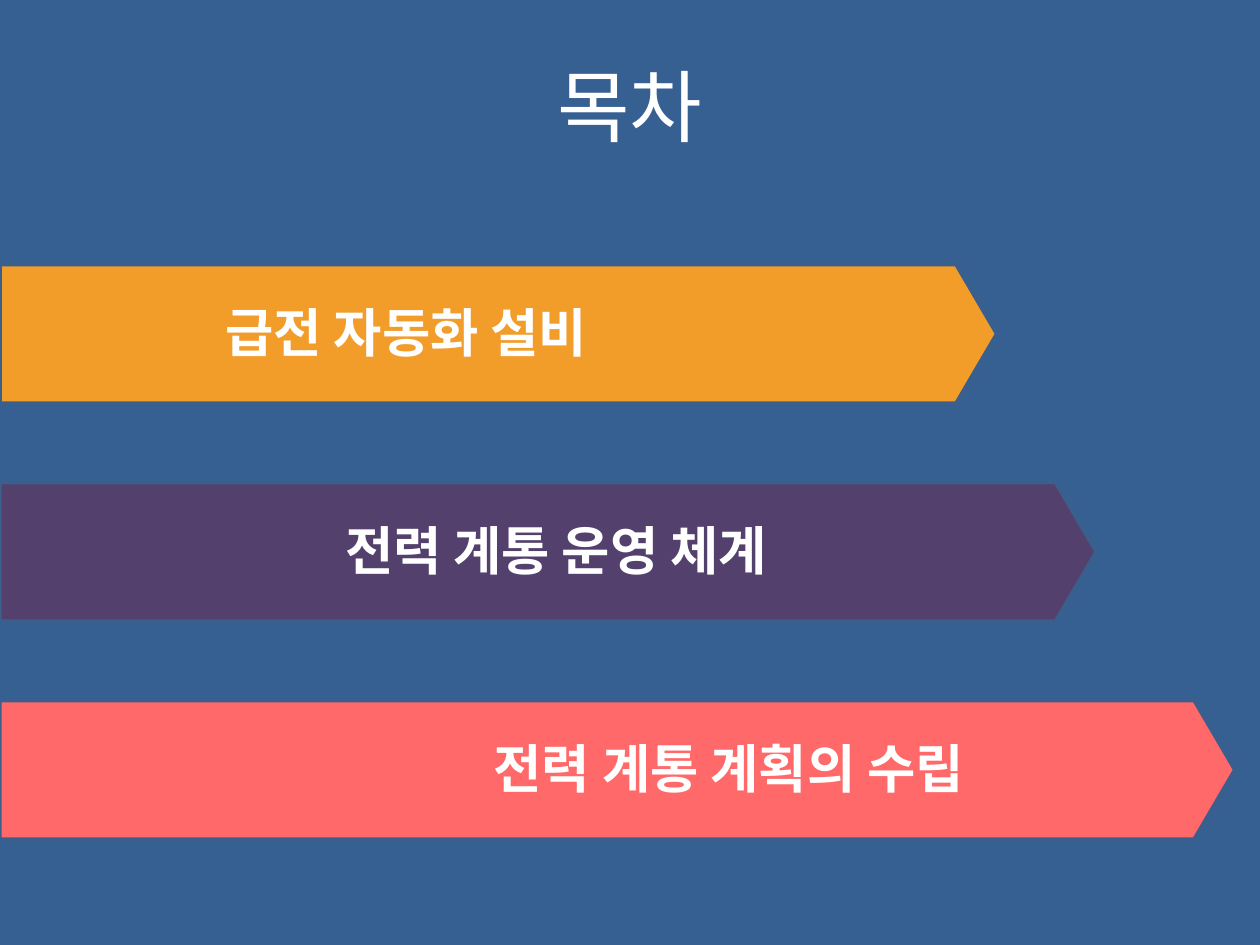
"""Build the contents slide with three stepped arrow banners."""
from dataclasses import dataclass

from lxml import etree
from pptx import Presentation
from pptx.dml.color import RGBColor
from pptx.enum.shapes import MSO_SHAPE
from pptx.enum.text import MSO_ANCHOR, MSO_AUTO_SIZE, PP_ALIGN
from pptx.oxml.ns import qn
from pptx.slide import Slide
from pptx.util import Inches, Pt

PENTAGON = MSO_SHAPE.PENTAGON
MIDDLE = MSO_ANCHOR.MIDDLE
LEFT, CENTER = PP_ALIGN.LEFT, PP_ALIGN.CENTER
GROW = MSO_AUTO_SIZE.SHAPE_TO_FIT_TEXT
FONT = "Noto Sans CJK KR"
TITLE_ONLY = 5
TOP, PITCH, HEIGHT = 2.1, 1.73, 1.1
LABEL_OFFSET, LABEL_HEIGHT = 0.23, 0.61
COLORS = {
    "background": "376092",
    "outline": "3A5F8C",
    "text": "FFFFFF",
    "orange": "F29C2A",
    "purple": "54406C",
    "coral": "FF6969",
}


@dataclass(frozen=True)
class Banner:
    text: str
    color: str
    width: float
    label_left: float
    label_width: float


BANNERS = [
    Banner("급전 자동화 설비", "orange", 7.91, 1.69, 3.46),
    Banner("전력 계통 운영 체계", "purple", 8.7, 2.64, 4.33),
    Banner("전력 계통 계획의 수립", "coral", 9.8, 3.82, 4.57),
]


def rgb(name: str) -> RGBColor:
    return RGBColor.from_string(COLORS[name])


def fill_solid(fill, color: str) -> None:
    fill.solid()
    fill.fore_color.rgb = rgb(color)


def write_text(tf, text: str, *, size: float, bold: bool = False,
               align=LEFT, color: str = "text") -> None:
    p = tf.paragraphs[0]
    p.alignment = align
    r = p.add_run()
    r.text = text
    r.font.size = Pt(size)
    r.font.bold = bold
    r.font.name = FONT
    r.font.color.rgb = rgb(color)
    etree.SubElement(r.font._element, qn("a:ea"), typeface=FONT)


def draw_title(s: Slide, text: str) -> None:
    title = s.shapes.title
    title.left, title.top = Inches(0.5), Inches(0.21)
    title.width, title.height = Inches(9), Inches(1.25)
    title.text_frame.vertical_anchor = MIDDLE
    write_text(title.text_frame, text, size=45, align=CENTER)


def draw_banner(s: Slide, banner: Banner, top: float) -> None:
    group = s.shapes.add_group_shape()
    sp = group.shapes.add_shape(PENTAGON, 0, Inches(top),
                                Inches(banner.width), Inches(HEIGHT))
    sp.adjustments[0] = 0.293
    sp.shadow.inherit = False
    fill_solid(sp.fill, banner.color)
    sp.line.color.rgb = rgb("outline")
    sp.line.width = Pt(2)

    label = group.shapes.add_textbox(
        Inches(banner.label_left), Inches(top + LABEL_OFFSET),
        Inches(banner.label_width), Inches(LABEL_HEIGHT))
    fill_solid(label.fill, banner.color)
    tf = label.text_frame
    tf.word_wrap = True
    tf.auto_size = GROW
    write_text(tf, banner.text, size=30, bold=True)


def main() -> None:
    prs = Presentation()
    prs.slide_width, prs.slide_height = Inches(10), Inches(7.5)
    s = prs.slides.add_slide(prs.slide_layouts[TITLE_ONLY])
    fill_solid(s.background.fill, "background")
    draw_title(s, "목차")
    for i, banner in enumerate(BANNERS):
        draw_banner(s, banner, TOP + i * PITCH)
    prs.save("out.pptx")


if __name__ == "__main__":
    main()
